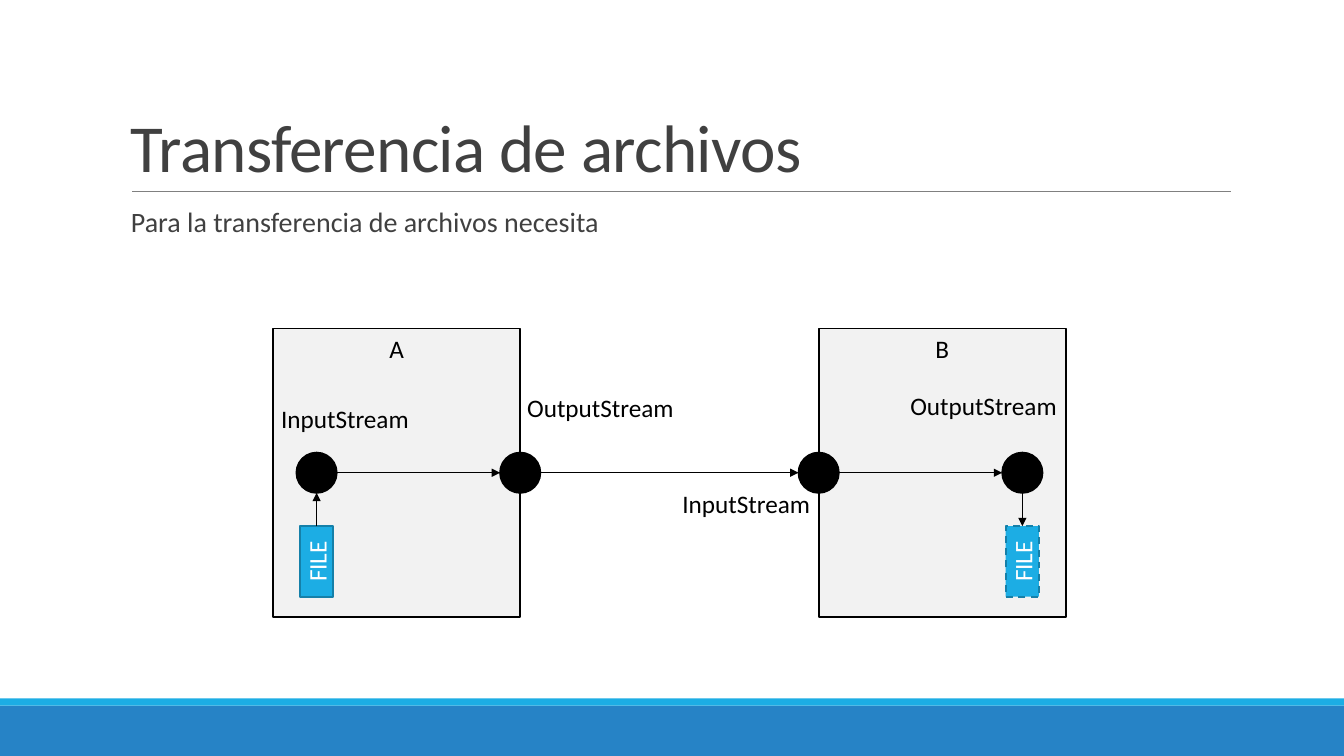
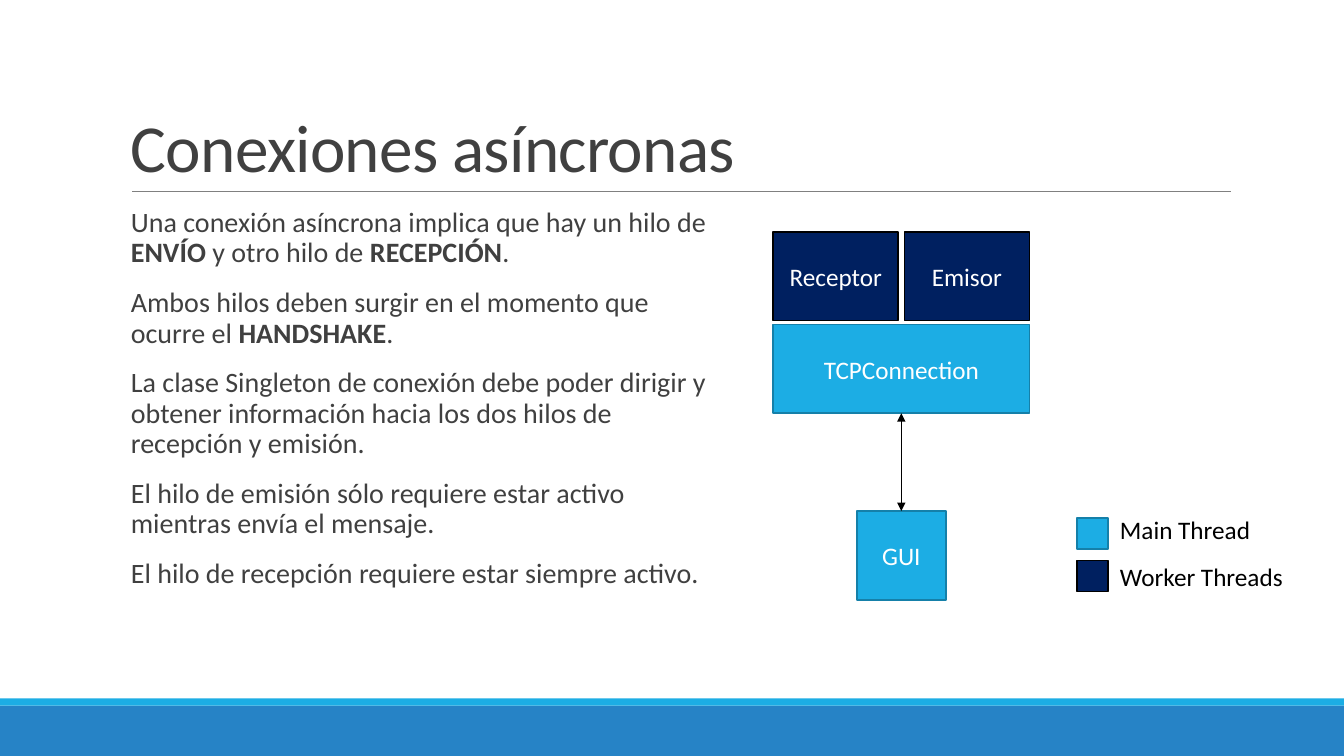
from lxml import etree
from pptx import Presentation
from pptx import util as u
from pptx.dml.color import RGBColor
from pptx.enum import dml, shapes, text
from pptx.oxml import ns

FONT = "Calibri"
BLACK, WHITE, GREY_TEXT, RULE, PANEL = "000000", "FFFFFF", "404040", "808080", "F2F2F2"
BLUE, SKY, SKY_EDGE, NAVY = "2683C6", "1CADE4", "1580A9", "002060"
MAIN, WORKER = (SKY, SKY_EDGE), (NAVY, BLACK)
RECT, OVAL = shapes.MSO_SHAPE.RECTANGLE, shapes.MSO_SHAPE.OVAL
TOP, MIDDLE, BOTTOM = (text.MSO_ANCHOR.TOP, text.MSO_ANCHOR.MIDDLE,
                       text.MSO_ANCHOR.BOTTOM)
CENTER = text.PP_ALIGN.CENTER
SLIDE_W, SLIDE_H = 13.33, 7.5
DOT, FILE_W, FILE_H = 0.4, 0.7, 0.33


def color(value):
    """Turn a hex string into a colour."""
    return RGBColor.from_string(value)


def inches(*lengths):
    """Turn numbers into lengths."""
    return [u.Inches(length) for length in lengths]


def add_run(paragraph, words, size, ink, bold=False, spacing=None):
    """Append one styled run to a paragraph."""
    run = paragraph.add_run()
    run.text = words
    run.font.name, run.font.size, run.font.bold = FONT, u.Pt(size), bold
    run.font.color.rgb = color(ink)
    if spacing is not None:
        run.font._element.set("spc", str(int(spacing * 100)))


def add_block(slide, box, fill, edge=None, words="", ink=WHITE, kind=RECT, anchor=MIDDLE):
    """Draw a filled shape with an optional edge and centred words."""
    shape = slide.shapes.add_shape(kind, *inches(*box))
    shape.shadow.inherit = False
    shape.fill.solid()
    shape.fill.fore_color.rgb = color(fill)
    if edge:
        shape.line.color.rgb = color(edge)
        shape.line.width = u.Pt(1.25)
    else:
        shape.line.fill.background()
    if words:
        shape.text_frame.vertical_anchor = anchor
        paragraph = shape.text_frame.paragraphs[0]
        paragraph.alignment = CENTER
        add_run(paragraph, words, 18, ink)
    return shape


def add_line(slide, start, end, ink=BLACK, width=1, head=False, tail=False):
    """Draw a straight line with arrowheads at its start or end."""
    line = slide.shapes.add_connector(shapes.MSO_CONNECTOR.STRAIGHT,
                                      *inches(*start, *end))
    line.line.color.rgb = color(ink)
    line.line.width = u.Pt(width)
    outline = line.line._get_or_add_ln()
    for wanted, tag in ((head, "a:headEnd"), (tail, "a:tailEnd")):
        if wanted:
            etree.SubElement(outline, ns.qn(tag), type="triangle")
    etree.SubElement(line._element.spPr, ns.qn("a:effectLst"))


def add_frame(slide, box, anchor=TOP, wrap=True):
    """Add an empty text box and return its text frame."""
    frame = slide.shapes.add_textbox(*inches(*box)).text_frame
    frame.word_wrap, frame.vertical_anchor = wrap, anchor
    return frame


def add_label(slide, left, top, words, width=1.69, wrap=True):
    """Add a one-line black label."""
    frame = add_frame(slide, (left, top, width, 0.4), wrap=wrap)
    add_run(frame.paragraphs[0], words, 18, BLACK)


def add_body(slide, box, paragraphs):
    """Add body text; each paragraph lists runs, every second one bold."""
    frame = add_frame(slide, box)
    for index, runs in enumerate(paragraphs):
        paragraph = frame.paragraphs[0] if index == 0 else frame.add_paragraph()
        paragraph.line_spacing = 0.9
        paragraph.space_before, paragraph.space_after = u.Pt(12), u.Pt(2)
        for position, words in enumerate(runs):
            add_run(paragraph, words, 20, GREY_TEXT, bold=position % 2 == 1)


def add_titled_slide(presentation, title):
    """Add a slide with the shared bands, rule and title."""
    slide = presentation.slides.add_slide(presentation.slide_layouts[6])
    add_block(slide, (0, 7, SLIDE_W, 0.5), BLUE)
    add_block(slide, (0, 6.93, SLIDE_W, 0.07), SKY)
    add_line(slide, (1.31, 1.9), (12.21, 1.9), RULE, 0.5)
    paragraph = add_frame(slide, (1.2, 0.31, 11, 1.59), BOTTOM).paragraphs[0]
    paragraph.line_spacing = 0.85
    add_run(paragraph, title, 48, GREY_TEXT, spacing=-0.5)
    return slide


def add_file(slide, center_x, center_y, dashed):
    """Draw a file standing on its side."""
    box = (center_x - FILE_W / 2, center_y - FILE_H / 2, FILE_W, FILE_H)
    file_shape = add_block(slide, box, *MAIN, "FILE")
    file_shape.rotation = 270
    if dashed:
        file_shape.line.dash_style = dml.MSO_LINE.DASH


def add_transfer(slide, box):
    """Draw hosts A and B at the sides of the box, and the streams between them."""
    left, top, width, height = box
    right, host_w, inset = left + width, 2.45, 0.43
    stream_y, file_y = top + height / 2, top + 2.31
    for host_left, name in ((left, "A"), (right - host_w, "B")):
        add_block(slide, (host_left, top, host_w, height), PANEL, BLACK, name, BLACK,
                  anchor=TOP)

    dots = [left + inset, left + host_w, right - host_w, right - inset]
    for center_x in dots:
        add_block(slide, (center_x - DOT / 2, stream_y - DOT / 2, DOT, DOT),
                  BLACK, BLACK, kind=OVAL)
    for source, target in zip(dots, dots[1:]):
        add_line(slide, (source + DOT / 2, stream_y), (target - DOT / 2, stream_y),
                 tail=True)

    dot_bottom, file_top = stream_y + DOT / 2, file_y - FILE_W / 2
    for center_x, start_y, end_y, received in (
            (dots[0], file_top, dot_bottom, False),
            (dots[-1], dot_bottom, file_top, True)):
        add_file(slide, center_x, file_y, received)
        add_line(slide, (center_x, start_y), (center_x, end_y), tail=True)

    for offset_x, offset_y, words in (
            (-0.02, 0.69, "InputStream"), (2.42, 0.58, "OutputStream"),
            (3.96, 1.54, "InputStream"), (6.22, 0.56, "OutputStream")):
        add_label(slide, left + offset_x, top + offset_y, words)


def add_threads(slide, box):
    """Stack the worker threads on the connection, linked to the GUI below."""
    left, top, width, height = box
    side, worker_w = 0.88, 1.24
    for worker_left, words in ((left, "Receptor"), (left + width - worker_w, "Emisor")):
        add_block(slide, (worker_left, top, worker_w, side), *WORKER, words)
    connection_top = top + side + 0.04
    add_block(slide, (left, connection_top, width, side), *MAIN, "TCPConnection")
    center_x, gui_top = left + width / 2, top + height - side
    add_block(slide, (center_x - side / 2, gui_top, side, side), *MAIN, "GUI")
    add_line(slide, (center_x, gui_top), (center_x, connection_top + side),
             head=True, tail=True)


def add_legend(slide, left, top):
    """Explain the two thread colours."""
    swatch = 0.31
    for row, (colors, words) in enumerate(((MAIN, "Main Thread"),
                                           (WORKER, "Worker Threads"))):
        add_block(slide, (left, top + 0.09 + 0.42 * row, swatch, swatch), *colors)
        add_label(slide, left + 0.33, top + 0.47 * row, words, 1.83, wrap=False)


def build_transfer_slide(presentation):
    """Build the slide on file transfer."""
    slide = add_titled_slide(presentation, "Transferencia de archivos")
    add_body(slide, (1.2, 2.02, 11, 4.4), [["Para la transferencia de archivos necesita"]])
    add_transfer(slide, (2.71, 3.26, 7.86, 2.86))


def build_connections_slide(presentation):
    """Build the slide on asynchronous connections."""
    slide = add_titled_slide(presentation, "Conexiones asíncronas")
    add_body(slide, (1.2, 2.02, 5.96, 4.4), [
        ["Una conexión asíncrona implica que hay un hilo de ", "ENVÍO",
         " y otro hilo de ", "RECEPCIÓN", "."],
        ["Ambos hilos deben surgir en el momento que ocurre el ", "HANDSHAKE", "."],
        ["La clase Singleton de conexión debe poder dirigir y obtener información "
         "hacia los dos hilos de recepción y emisión."],
        ["El hilo de emisión sólo requiere estar activo mientras envía el mensaje."],
        ["El hilo de recepción requiere estar siempre activo."],
    ])
    add_threads(slide, (7.67, 2.3, 2.54, 3.65))
    add_legend(slide, 10.68, 5.05)


def main():
    """Build and save the presentation."""
    presentation = Presentation()
    presentation.slide_width, presentation.slide_height = inches(SLIDE_W, SLIDE_H)
    build_transfer_slide(presentation)
    build_connections_slide(presentation)
    presentation.save("out.pptx")


main()
